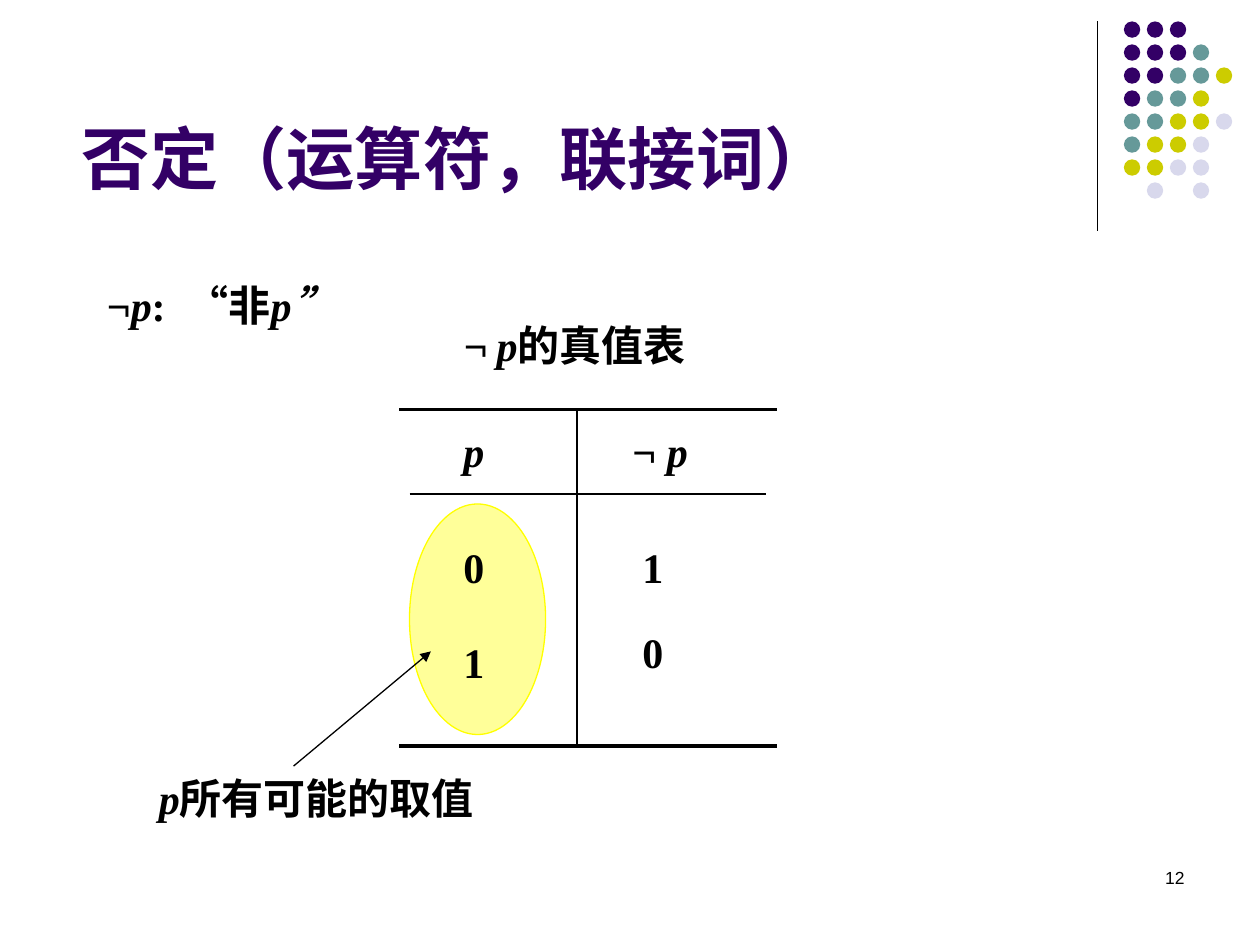
"""Build the slide on logical negation and its truth table."""
import pptx
import pptx.dml.color
import pptx.enum.shapes
import pptx.enum.text
import pptx.oxml
import pptx.oxml.ns
import pptx.util
import lxml.etree

COLORS = {
    "ink": "000000", "purple": "330066", "teal": "669999", "olive": "CCCC00",
    "lilac": "D8D8EC", "pale_yellow": "FFFF99", "yellow": "FFFF00",
}
SERIF, SANS, HAN = "Times New Roman", "Arial", "Noto Sans CJK SC"
WIDTH, HEIGHT = 10, 7.5

TITLE = "否定（运算符，联接词）"
PAGE_NUMBER = "12"

DOT_ROWS = ["PPP..", "PPPT.", "PPTTO", "PTTO.", "TTOOL", "TOOL.", "OOLL.", ".L.L."]
DOT_COLORS = {"P": "purple", "T": "teal", "O": "olive", "L": "lilac"}
DOT_LEFT, DOT_TOP, DOT_SIZE, DOT_PITCH = 8.92, 0.17, 0.13, 0.73 / 4

TABLE_LEFT, TABLE_RIGHT = 3.17, 6.17
TABLE_TOP, TABLE_BOTTOM = 3.25, 5.92
HEADER_BOTTOM, COLUMN_SPLIT = 3.92, 4.58

LINES = [
    ((8.71, 0.17), (8.71, 1.83), 0.75),
    ((TABLE_LEFT, TABLE_TOP), (TABLE_RIGHT, TABLE_TOP), 2.25),
    ((TABLE_LEFT, TABLE_BOTTOM), (TABLE_RIGHT, TABLE_BOTTOM), 2.25),
    ((COLUMN_SPLIT, TABLE_TOP), (COLUMN_SPLIT, TABLE_BOTTOM), 0.75),
    ((3.25, HEADER_BOTTOM), (6.08, HEADER_BOTTOM), 0.75),
]
ARROW = ((2.33, 6.08), (3.42, 5.17), 0.75)

ROMAN, ITALIC = False, True
LABELS = [
    (0.75, 2.17, 5.17, [("¬", ROMAN), ("p", ITALIC), (":  “非", ROMAN), ("p”", ITALIC)]),
    (3.58, 3.33, 0.75, [("p", ITALIC)]),
    (4.92, 3.33, 1.25, [("¬ ", ROMAN), ("p", ITALIC)]),
    (3.58, 4.25, 0.75, [("0", ROMAN)]),
    (3.58, 5.00, 1.00, [("1", ROMAN)]),
    (5.00, 4.25, 1.00, [("1", ROMAN)]),
    (5.00, 4.92, 0.75, [("0", ROMAN)]),
    (3.50, 2.49, 3.24, [(" ", ITALIC), ("¬", ROMAN), (" ", ITALIC, 20), ("p", ITALIC),
                        ("的真值表", ROMAN)]),
    (1.08, 6.08, 3.50, [(" ", ROMAN), ("p", ITALIC), ("所有可能的取值", ROMAN)]),
]
LABEL_HEIGHT = 0.5


def inches(*lengths):
    return [pptx.util.Inches(length) for length in lengths]


def rgb(name):
    return pptx.dml.color.RGBColor.from_string(COLORS[name])


def set_font(font, face, size, color, bold):
    font.name, font.size, font.bold = face, pptx.util.Pt(size), bold
    font.color.rgb = rgb(color)


def add_span(para, text):
    span = para.add_run()
    span.text = text
    properties = span._r.get_or_add_rPr()
    properties.set("lang", "zh-CN")
    lxml.etree.SubElement(properties, pptx.oxml.ns.qn("a:ea"), typeface=HAN)
    return span


def add_box(page, left, top, width):
    box = page.shapes.add_textbox(*inches(left, top, width, LABEL_HEIGHT))
    box.text_frame.word_wrap = True
    return box.text_frame.paragraphs[0]


def add_ellipse(page, left, top, width, height, fill, outline=None):
    ellipse = page.shapes.add_shape(
        pptx.enum.shapes.MSO_SHAPE.OVAL, *inches(left, top, width, height))
    ellipse.shadow.inherit = False
    ellipse.fill.solid()
    ellipse.fill.fore_color.rgb = rgb(fill)
    if outline:
        ellipse.line.color.rgb = rgb(outline)
        ellipse.line.width = pptx.util.Pt(0.75)
    else:
        ellipse.line.fill.background()


def add_line(page, start, end, weight):
    line = page.shapes.add_connector(
        pptx.enum.shapes.MSO_CONNECTOR.STRAIGHT, *inches(*start, *end))
    line.line.color.rgb = rgb("ink")
    line.line.width = pptx.util.Pt(weight)
    lxml.etree.SubElement(line._element.spPr, pptx.oxml.ns.qn("a:effectLst"))
    return line


def add_title(page):
    title = page.shapes.title
    title.left, title.top, title.width, title.height = inches(0.55, 0.79, 9.45, 0.83)
    title.text_frame.vertical_anchor = pptx.enum.text.MSO_ANCHOR.BOTTOM
    para = title.text_frame.paragraphs[0]
    para.alignment = pptx.enum.text.PP_ALIGN.JUSTIFY
    set_font(para.font, SANS, 39, "purple", True)
    add_span(para, TITLE)


def add_dots(page):
    for row, pattern in enumerate(DOT_ROWS):
        for column, key in enumerate(pattern):
            if key in DOT_COLORS:
                add_ellipse(page, DOT_LEFT + column * DOT_PITCH, DOT_TOP + row * DOT_PITCH,
                            DOT_SIZE, DOT_SIZE, DOT_COLORS[key])


def add_label(page, left, top, width, spans):
    para = add_box(page, left, top, width)
    set_font(para.font, SERIF, 24, "ink", True)
    for text, italic, *size in spans:
        span = add_span(para, text)
        span.font.italic = italic
        if size:
            span.font.size = pptx.util.Pt(size[0])


def add_page_number(page):
    para = add_box(page, 7.17, 6.83, 2.33)
    para.alignment = pptx.enum.text.PP_ALIGN.RIGHT
    set_font(para.font, SANS, 10, "ink", False)
    add_span(para, PAGE_NUMBER)


def main():
    deck = pptx.Presentation()
    deck.slide_width, deck.slide_height = inches(WIDTH, HEIGHT)
    page = deck.slides.add_slide(deck.slide_layouts.get_by_name("Title Only"))
    add_title(page)
    add_dots(page)
    add_ellipse(page, 3.25, 4, 1.08, 1.83, "pale_yellow", "yellow")
    for line in LINES:
        add_line(page, *line)
    for label in LABELS:
        add_label(page, *label)
    arrow = add_line(page, *ARROW)
    lxml.etree.SubElement(arrow.line._get_or_add_ln(), pptx.oxml.ns.qn("a:tailEnd"),
                          type="triangle")
    add_page_number(page)
    deck.save("out.pptx")


if __name__ == "__main__":
    main()
